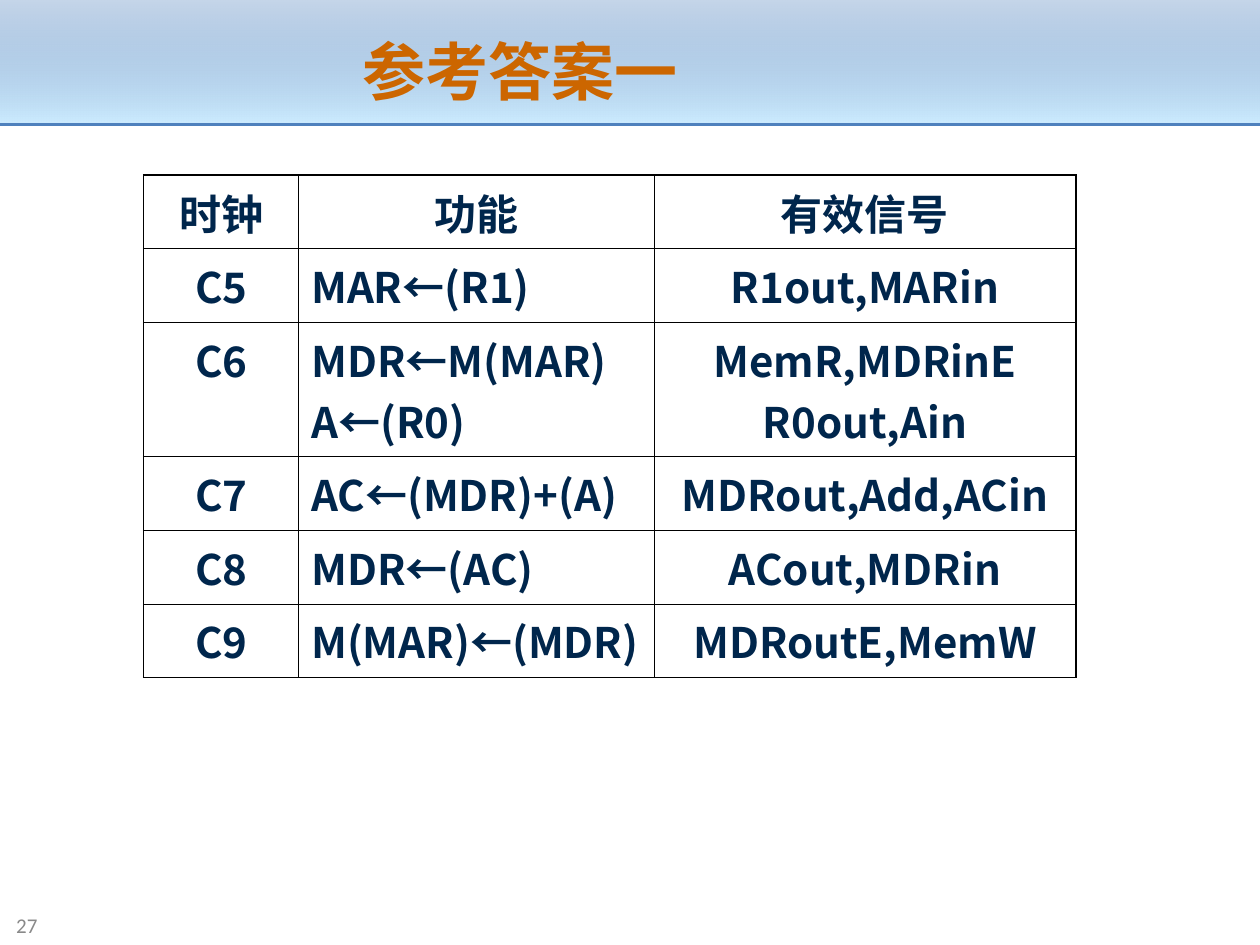
from lxml.etree import SubElement
from pptx import Presentation
from pptx.dml.color import RGBColor
from pptx.enum.shapes import MSO_CONNECTOR, MSO_SHAPE
from pptx.enum.text import MSO_ANCHOR, PP_ALIGN
from pptx.oxml.ns import qn
from pptx.util import Inches, Pt

# Content
TITLE = "参考答案一"
SLIDE_NUMBER = "27"
ROWS = [
    ("时钟", "功能", "有效信号"),
    ("C5", "MAR←(R1)", "R1out,MARin"),
    ("C6", "MDR←M(MAR)\nA←(R0)", "MemR,MDRinE\nR0out,Ain"),
    ("C7", "AC←(MDR)+(A)", "MDRout,Add,ACin"),
    ("C8", "MDR←(AC)", "ACout,MDRin"),
    ("C9", "M(MAR)←(MDR)", "MDRoutE,MemW"),
]

# Theme and layout
CJK_FONT = "Noto Sans CJK SC"
THEME = {
    "title": {"name": CJK_FONT, "size": Pt(36), "bold": True, "color": "CC6600"},
    "cell": {"name": CJK_FONT, "size": Pt(24), "bold": True, "color": "00264C"},
    "number": {"name": "Calibri", "size": Pt(12), "bold": False, "color": "898989"},
    "band": ("4F81BD", "CCECFF"),
    "band_alpha": 32,
    "rule": ("4F81BD", Pt(1.5)),
    "grid": "000000",
    "outer": Pt(1.08),
    "inner": Pt(0.45),
}
SLIDE_WIDTH, SLIDE_HEIGHT, BAND_HEIGHT = Inches(10), Inches(7.5), Inches(0.99)
TITLE_BOX = (0.51, 0.21, 7.24, 0.7)
NUMBER_BOX = (0.03, 7.18, 2.21, 0.32)
TABLE_LEFT, TABLE_TOP = 1.14, 1.39
COLUMN_WIDTHS = (1.23, 2.82, 3.35)
LINE_HEIGHT, ROW_PADDING = 0.39, 0.12


def write(text_frame, text, style, align=PP_ALIGN.LEFT):
    """Fill a text frame, one paragraph per line of text."""
    text_frame.text = text
    for paragraph in text_frame.paragraphs:
        paragraph.alignment = align
        for run in paragraph.runs:
            for key in ("name", "size", "bold"):
                setattr(run.font, key, style[key])
            run.font.color.rgb = RGBColor.from_string(style["color"])
            SubElement(run.font._element, qn("a:ea"), typeface=style["name"])


def set_borders(cell, widths):
    properties = cell._tc.get_or_add_tcPr()
    for side, width in widths.items():
        line = SubElement(properties, qn(f"a:ln{side}"), w=str(int(width)))
        fill = SubElement(line, qn("a:solidFill"))
        SubElement(fill, qn("a:srgbClr"), val=THEME["grid"])


def add_header_band(slide):
    band = slide.shapes.add_shape(MSO_SHAPE.RECTANGLE, 0, 0, SLIDE_WIDTH, BAND_HEIGHT)
    band.shadow.inherit = False
    band.line.fill.background()
    band.fill.gradient()
    band.fill.gradient_angle = 270
    for stop, color in zip(band.fill.gradient_stops, THEME["band"]):
        stop.color.rgb = RGBColor.from_string(color)
    first_color = next(band.element.spPr.iter(qn("a:srgbClr")))
    SubElement(first_color, qn("a:alpha"), val=str(THEME["band_alpha"] * 1000))

    color, width = THEME["rule"]
    rule = slide.shapes.add_connector(
        MSO_CONNECTOR.STRAIGHT, 0, BAND_HEIGHT, SLIDE_WIDTH, BAND_HEIGHT)
    rule.line.color.rgb = RGBColor.from_string(color)
    rule.line.width = width
    SubElement(rule.element.spPr, qn("a:effectLst"))
    # Connect to the middle of nothing: the rule spans the full slide width


def add_title(slide):
    title = slide.shapes.title
    title.left, title.top, title.width, title.height = map(Inches, TITLE_BOX)
    title.text_frame.vertical_anchor = MSO_ANCHOR.MIDDLE
    write(title.text_frame, TITLE, THEME["title"], PP_ALIGN.CENTER)
    slide.shapes.element.append(title.element)  # in front of the band


def add_slide_number(slide):
    box = slide.shapes.add_textbox(*map(Inches, NUMBER_BOX))
    box.text_frame.word_wrap = True
    box.text_frame.vertical_anchor = MSO_ANCHOR.MIDDLE
    write(box.text_frame, SLIDE_NUMBER, THEME["number"])


def add_signal_table(slide):
    heights = [ROW_PADDING + LINE_HEIGHT * (1 + row[1].count("\n")) for row in ROWS]
    table = slide.shapes.add_table(
        len(ROWS), len(COLUMN_WIDTHS), Inches(TABLE_LEFT), Inches(TABLE_TOP),
        Inches(sum(COLUMN_WIDTHS)), Inches(sum(heights))).table
    table.first_row = table.horz_banding = False
    for column, width in zip(table.columns, COLUMN_WIDTHS):
        column.width = Inches(width)

    last_row, last_column = len(ROWS) - 1, len(COLUMN_WIDTHS) - 1
    for r, (row, height) in enumerate(zip(ROWS, heights)):
        table.rows[r].height = Inches(height)
        for c, text in enumerate(row):
            cell = table.cell(r, c)
            on_edge = {"L": c == 0, "R": c == last_column, "T": r == 0, "B": r == last_row}
            set_borders(cell, {side: THEME["outer" if edge else "inner"]
                               for side, edge in on_edge.items()})
            cell.fill.background()
            align = PP_ALIGN.LEFT if c == 1 and r > 0 else PP_ALIGN.CENTER
            write(cell.text_frame, text, THEME["cell"], align)


def main():
    presentation = Presentation()
    presentation.slide_width, presentation.slide_height = SLIDE_WIDTH, SLIDE_HEIGHT
    slide = presentation.slides.add_slide(presentation.slide_layouts[5])
    add_header_band(slide)
    add_slide_number(slide)
    add_title(slide)
    add_signal_table(slide)
    presentation.save("out.pptx")


if __name__ == "__main__":
    main()
